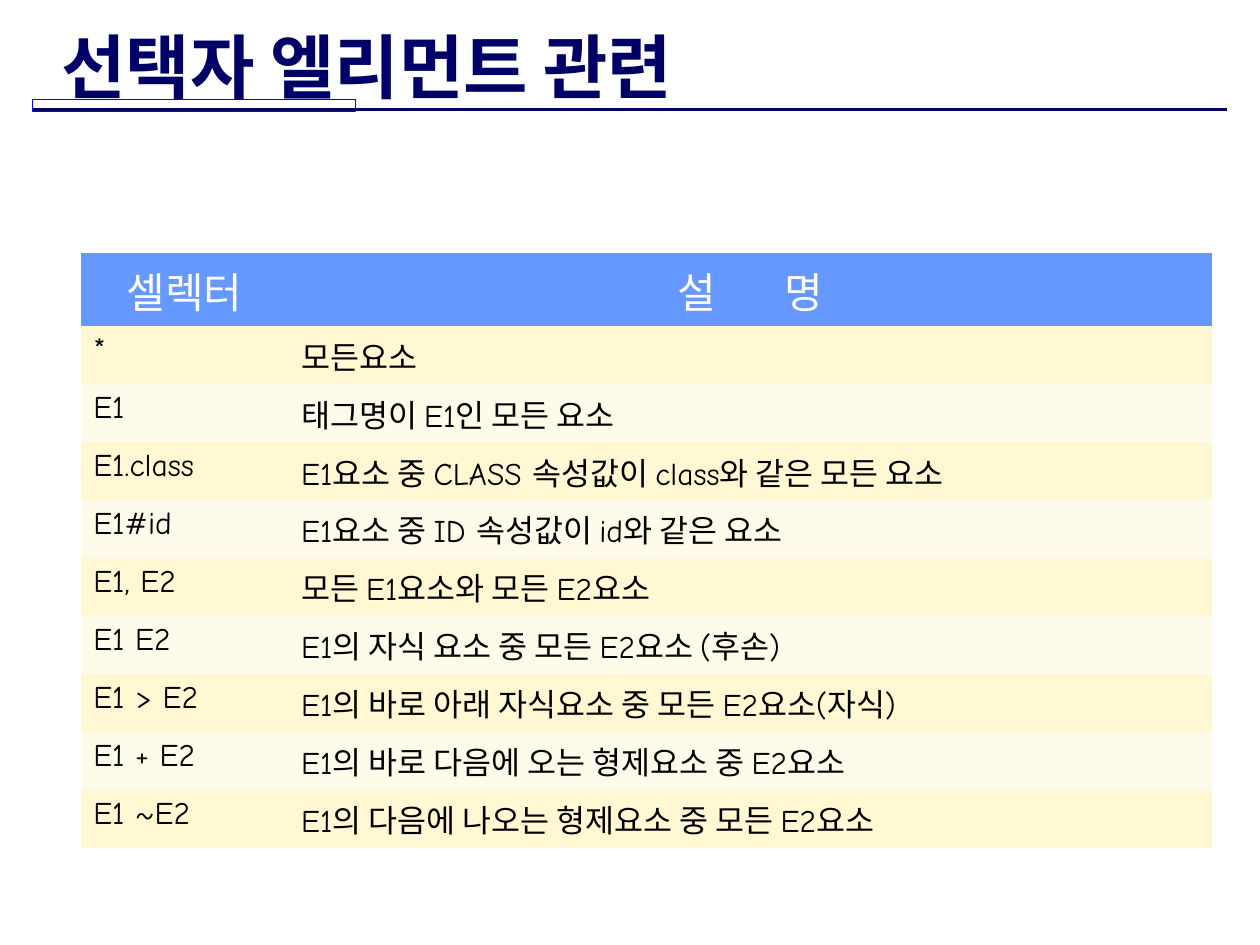
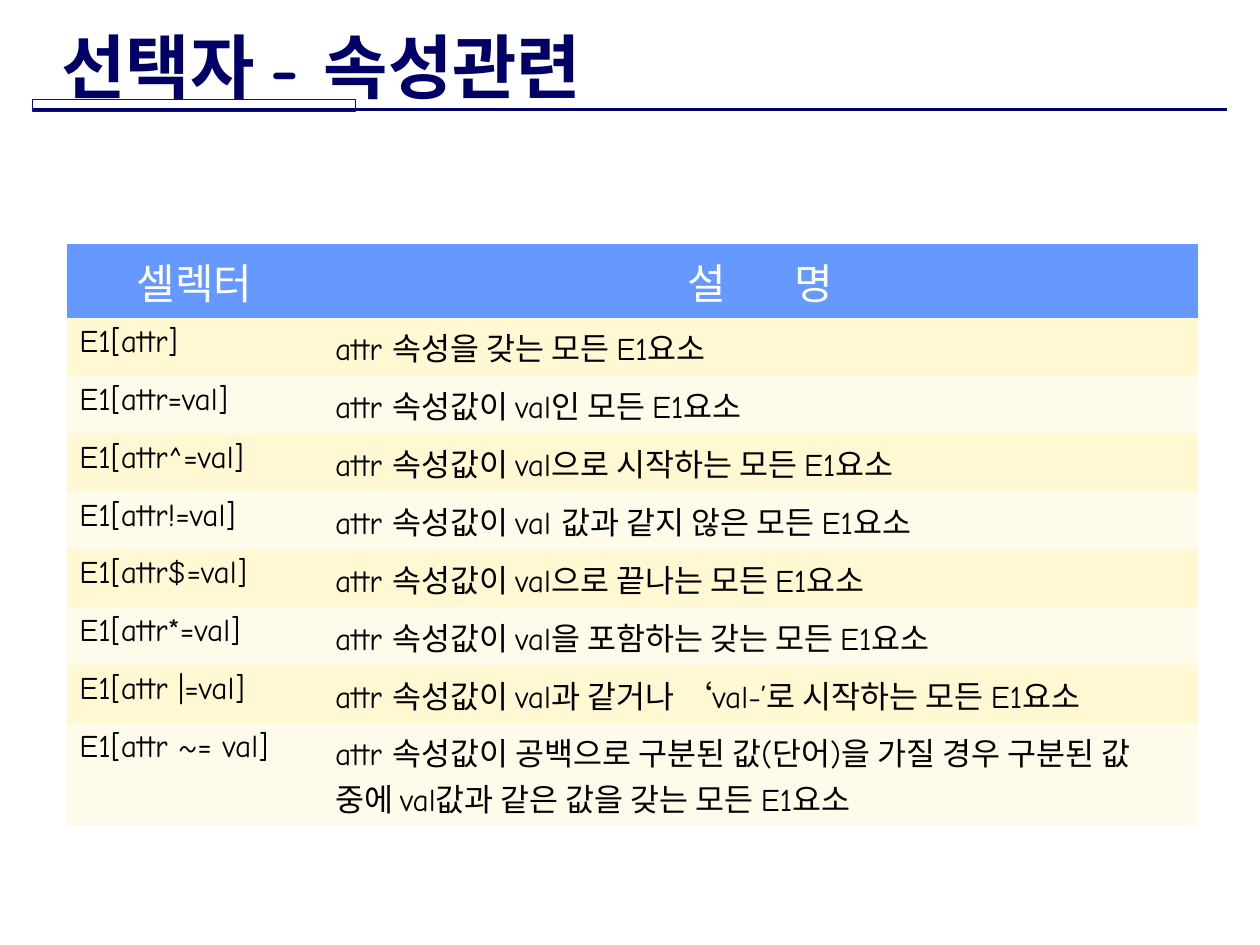
import pptx
import pptx.dml.color
import pptx.enum.shapes
import pptx.enum.text
import pptx.util
from lxml import etree
from pptx.util import Inches, Pt

FONT = "Comic Neue"
NAVY, BLUE, BLACK, WHITE = "000066", "0000FF", "000000", "FFFFFF"
HEADER_FILL = "6699FF"
BAND_FILLS = ["FFF8D3", "FFFBEA"]
NO_STYLE = "{2D5ABB26-0587-4C30-8999-92F81FD0307C}"
HEADER_H, ROW_H = 0.58, 0.46

SLIDES = [
    {
        "title": "선택자 엘리먼트 관련",
        "at": (0.64, 2.01),
        "cols": (1.65, 7.33),
        "last_row": ROW_H,
        "rows": [
            ("*", "모든요소"),
            ("E1", "태그명이 E1인 모든 요소"),
            ("E1.class", "E1요소 중 CLASS 속성값이 class와 같은 모든 요소"),
            ("E1#id", "E1요소 중 ID 속성값이 id와 같은 요소"),
            ("E1, E2", "모든 E1요소와 모든 E2요소"),
            ("E1 E2", "E1의 자식 요소 중 모든 E2요소 (후손)"),
            ("E1 > E2", "E1의 바로 아래 자식요소 중 모든 E2요소(자식)"),
            ("E1 + E2", "E1의 바로 다음에 오는 형제요소 중 E2요소"),
            ("E1 ~E2", "E1의 다음에 나오는 형제요소 중 모든 E2요소"),
        ],
    },
    {
        "title": "선택자 - 속성관련",
        "at": (0.53, 1.94),
        "cols": (2.03, 6.95),
        "last_row": 0.82,
        "rows": [
            ("E1[attr]", "attr 속성을 갖는 모든 E1요소"),
            ("E1[attr=val]", "attr 속성값이 val인 모든 E1요소"),
            ("E1[attr^=val]", "attr 속성값이 val으로 시작하는 모든 E1요소"),
            ("E1[attr!=val]", "attr 속성값이 val 값과 같지 않은 모든 E1요소"),
            ("E1[attr$=val]", "attr 속성값이 val으로 끝나는 모든 E1요소"),
            ("E1[attr*=val]", "attr 속성값이 val을 포함하는 갖는 모든 E1요소"),
            ("E1[attr |=val]", "attr 속성값이 val과 같거나 ‘val-’로 시작하는 모든 E1요소"),
            ("E1[attr ~= val]", "attr 속성값이 공백으로 구분된 값(단어)을 가질 경우 "
                                "구분된 값 중에 val값과 같은 값을 갖는 모든 E1요소"),
        ],
    },
]


def rgb(color):
    return pptx.dml.color.RGBColor.from_string(color)


def style(p, size, color, bold=False):
    p.font.name = FONT
    p.font.size = Pt(size)
    p.font.color.rgb = rgb(color)
    p.font.bold = bold


prs = pptx.Presentation()
prs.slide_width, prs.slide_height = Inches(10), Inches(7.5)

for content in SLIDES:
    s = prs.slides.add_slide(prs.slide_layouts[6])

    # Title rule: outlined tab above a full-width line
    tab = s.shapes.add_shape(pptx.enum.shapes.MSO_SHAPE.RECTANGLE,
                             Inches(0.26), Inches(0.79), Inches(2.56), Inches(0.09))
    tab.shadow.inherit = False
    tab.fill.background()
    tab.line.color.rgb = rgb(BLUE)
    tab.line.width = Pt(0.75)
    rule = s.shapes.add_connector(pptx.enum.shapes.MSO_CONNECTOR.STRAIGHT,
                                  Inches(0.26), Inches(0.87), Inches(9.74), Inches(0.87))
    rule.line.color.rgb = rgb(NAVY)
    rule.line.width = Pt(1.5)
    etree.SubElement(rule._element.spPr, pptx.oxml.ns.qn("a:effectLst"))

    # Title
    tf = s.shapes.add_textbox(Inches(0.39), Inches(0.21), Inches(6.79), Inches(0.52)).text_frame
    tf.word_wrap = True
    tf.vertical_anchor = pptx.enum.text.MSO_ANCHOR.TOP
    p = tf.paragraphs[0]
    p.text = content["title"]
    p.line_spacing = 0.9
    style(p, 40, NAVY, bold=True)

    # Selector table
    rows = content["rows"]
    heights = [HEADER_H] + [ROW_H] * (len(rows) - 1) + [content["last_row"]]
    left, top = content["at"]
    table = s.shapes.add_table(len(heights), 2, Inches(left), Inches(top),
                               Inches(sum(content["cols"])), Inches(sum(heights))).table
    table.first_row = table.horz_banding = False
    table._tbl.tblPr.find(pptx.oxml.ns.qn("a:tableStyleId")).text = NO_STYLE
    for column, width in zip(table.columns, content["cols"]):
        column.width = Inches(width)
    for row, height in zip(table.rows, heights):
        row.height = Inches(height)

    for i, texts in enumerate([("셀렉터", "설 명")] + rows):
        for j, text in enumerate(texts):
            cell = table.cell(i, j)
            cell.fill.solid()
            cell.fill.fore_color.rgb = rgb(BAND_FILLS[(i - 1) % 2] if i else HEADER_FILL)
            p = cell.text_frame.paragraphs[0]
            if i:
                p.text = text
                style(p, 18, BLACK)
                continue
            p.alignment = pptx.enum.text.PP_ALIGN.CENTER
            style(p, 24, WHITE)
            # Letter spacing spreads the words of a heading apart
            first, space, last = text.partition(" ")
            r = p.add_run()
            r.text = first + space
            if last:
                r._r.get_or_add_rPr().set("spc", "1700")
                p.add_run().text = last

prs.save("out.pptx")
